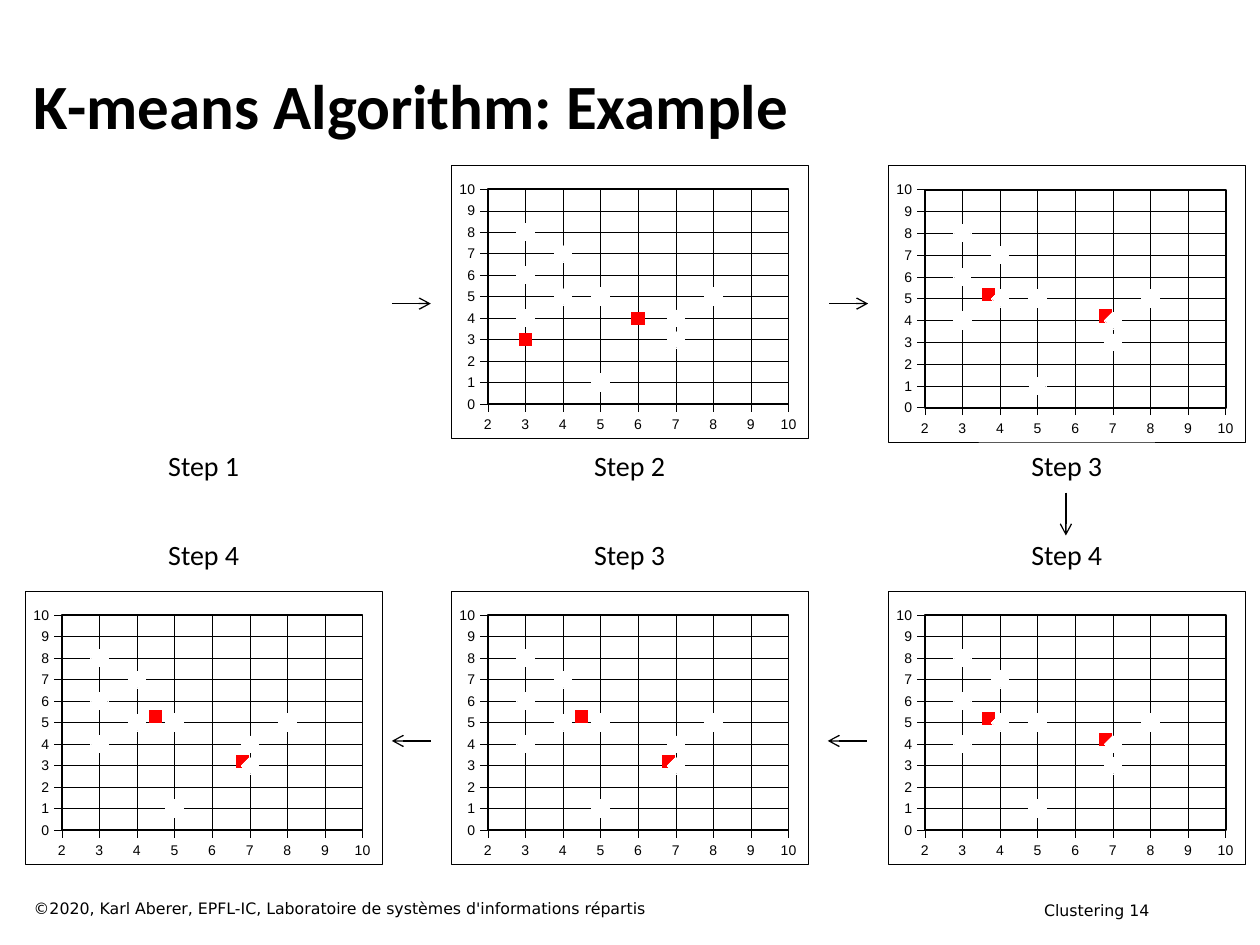
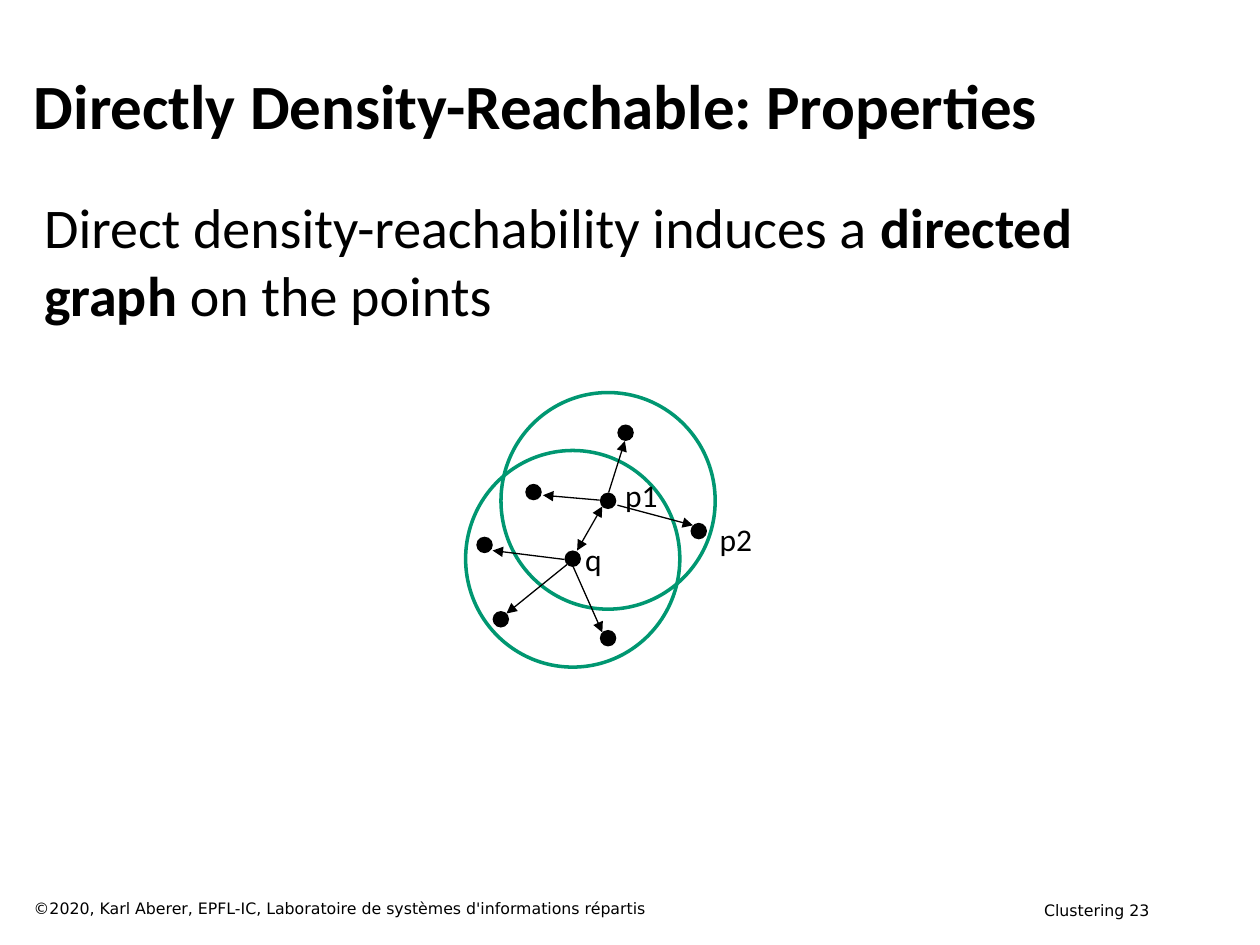
from lxml import etree
from pptx import Presentation
from pptx.chart.data import XyChartData
from pptx.dml.color import RGBColor
from pptx.enum.chart import XL_CHART_TYPE, XL_MARKER_STYLE, XL_TICK_MARK
from pptx.enum.shapes import MSO_CONNECTOR, MSO_SHAPE
from pptx.enum.text import MSO_ANCHOR, MSO_AUTO_SIZE, PP_ALIGN
from pptx.oxml import parse_xml
from pptx.oxml.ns import nsdecls, qn
from pptx.util import Pt

SCATTER = XL_CHART_TYPE.XY_SCATTER
DIAMOND, SQUARE = XL_MARKER_STYLE.DIAMOND, XL_MARKER_STYLE.SQUARE
TICK_OUTSIDE = XL_TICK_MARK.OUTSIDE
STRAIGHT = MSO_CONNECTOR.STRAIGHT
OVAL = MSO_SHAPE.OVAL
TOP, MIDDLE = MSO_ANCHOR.TOP, MSO_ANCHOR.MIDDLE
NO_AUTOFIT = MSO_AUTO_SIZE.NONE
LEFT, CENTER, RIGHT = PP_ALIGN.LEFT, PP_ALIGN.CENTER, PP_ALIGN.RIGHT

BLACK = RGBColor(0x00, 0x00, 0x00)
WHITE = RGBColor(0xFF, 0xFF, 0xFF)
RED = RGBColor(0xFF, 0x00, 0x00)
GREEN = RGBColor(0x00, 0x97, 0x71)

TITLE_FORMAT = {"name": "Calibri", "size": Pt(36), "bold": True}
BODY_FORMAT = {"name": "Calibri", "size": Pt(32), "bold": False}
STEP_FORMAT = {"name": "Calibri", "size": Pt(16)}
POINT_FORMAT = {"name": "Calibri", "size": Pt(18)}
FOOTER_FORMAT = {"name": "DejaVu Sans", "size": Pt(9)}
AXIS_FORMAT = {"name": "Arial", "size": Pt(8)}

COPYRIGHT = "©2020, Karl Aberer, EPFL-IC, Laboratoire de systèmes d'informations répartis"


def place_text(shape, box, text, text_format, alignment=LEFT, anchor=TOP, wrap=True):
    shape.left, shape.top, shape.width, shape.height = [Pt(length) for length in box]
    frame = shape.text_frame
    frame.text = text
    frame.auto_size = NO_AUTOFIT
    frame.word_wrap = wrap
    frame.vertical_anchor = anchor
    paragraph = frame.paragraphs[0]
    paragraph.alignment = alignment
    paragraph.space_before = Pt(0)
    for run in paragraph.runs:
        for name, value in text_format.items():
            setattr(run.font, name, value)
        run.font.color.rgb = BLACK
    return paragraph


def add_arrow(slide, start, end, head, ends=("tailEnd",)):
    arrow = slide.shapes.add_connector(STRAIGHT, *[Pt(length) for length in (*start, *end)])
    arrow.line.color.rgb = BLACK
    arrow.line.width = Pt(0.75)
    properties = arrow.line.color and arrow._element.spPr
    for tag in ends:
        etree.SubElement(properties.find(qn("a:ln")), qn(f"a:{tag}"), type=head)
    etree.SubElement(properties, qn("a:effectLst"))


presentation = Presentation()
presentation.slide_width, presentation.slide_height = Pt(720), Pt(540)

slides = []
for layout, title, number in (
    (5, "K-means Algorithm: Example", 14),
    (1, "Directly Density-Reachable: Properties", 23),
):
    slide = presentation.slides.add_slide(presentation.slide_layouts[layout])
    place_text(slide.shapes.title, (12.2, 23.8, 653.8, 72), title, TITLE_FORMAT, anchor=MIDDLE)
    for box, text, alignment in (
        ((12.2, 509.8, 462.2, 18), COPYRIGHT, LEFT),
        ((499.7, 511.2, 164.2, 11.5), f"Clustering {number}", RIGHT),
    ):
        footer = slide.shapes.add_textbox(0, 0, 0, 0)
        place_text(footer, box, text, FOOTER_FORMAT, alignment)
    slides.append(slide)
example_slide, properties_slide = slides

DATA_POINTS = ((3, 4), (3, 6), (7, 3), (4, 7), (3, 8), (8, 5), (4, 5), (5, 1), (7, 4), (5, 5))
CHART_LEFTS = (14.4, 257.8, 507.6)
CHART_TOPS = (94.3, 337.7)
CHART_WIDTH = 204
LABEL_TOPS = (252.7, 303.8)
LABEL_WIDTH = 56
START = ((3, 3), (6, 4))
FIRST_MEANS = ((3.7, 5.2), (6.8, 4.2))
SECOND_MEANS = ((4.5, 5.3), (6.8, 3.2))
STEPS = (
    ("Step 1", 0, 0, None, None),
    ("Step 2", 1, 0, START, 156.2),
    ("Step 3", 2, 0, FIRST_MEANS, 158.4),
    ("Step 4", 2, 1, FIRST_MEANS, 156.2),
    ("Step 3", 1, 1, SECOND_MEANS, 156.2),
    ("Step 4", 0, 1, SECOND_MEANS, 156.2),
)
PLOT_LAYOUT = (
    f'<c:layout {nsdecls("c")}><c:manualLayout><c:layoutTarget val="inner"/>'
    '<c:xMode val="edge"/><c:yMode val="edge"/><c:x val="0.102"/><c:y val="0.088"/>'
    '<c:w val="0.844"/><c:h val="0.788"/></c:manualLayout></c:layout>'
)
AREA_FORMAT = (
    f'<c:spPr {nsdecls("c", "a")}><a:solidFill><a:srgbClr val="{WHITE}"/></a:solidFill>'
    f'<a:ln w="%d"><a:solidFill><a:srgbClr val="{BLACK}"/></a:solidFill></a:ln></c:spPr>'
)

for label, column, row, centroids, height in STEPS:
    left = CHART_LEFTS[column]
    label_box = (left + (CHART_WIDTH - LABEL_WIDTH) / 2, LABEL_TOPS[row], LABEL_WIDTH, 26.6)
    text_box = example_slide.shapes.add_textbox(0, 0, 0, 0)
    place_text(text_box, label_box, label, STEP_FORMAT, CENTER, wrap=False)
    if centroids is None:
        continue

    chart_data = XyChartData()
    for index, points in enumerate((DATA_POINTS, centroids[:1], centroids[1:]), 1):
        data_series = chart_data.add_series(f"Series {index}")
        for x, y in points:
            data_series.add_data_point(x, y)
    chart = example_slide.shapes.add_chart(
        SCATTER, Pt(left), Pt(CHART_TOPS[row]), Pt(CHART_WIDTH), Pt(height), chart_data
    ).chart
    chart.has_title = False
    chart.has_legend = False
    for name, value in AXIS_FORMAT.items():
        setattr(chart.font, name, value)
    chart.font.color.rgb = BLACK

    for axis, minimum in ((chart.category_axis, 2), (chart.value_axis, 0)):
        for name, value in {
            "minimum_scale": minimum,
            "maximum_scale": 10,
            "major_unit": 1,
            "major_tick_mark": TICK_OUTSIDE,
            "has_major_gridlines": True,
        }.items():
            setattr(axis, name, value)
        for line in (axis.format.line, axis.major_gridlines.format.line):
            line.color.rgb = BLACK
            line.width = Pt(0.25)

    plot = chart.plots[0]
    plot.vary_by_categories = False
    markers = ((DIAMOND, 10, WHITE), (SQUARE, 7, RED), (SQUARE, 7, RED))
    for series, (style, size, color) in zip(plot.series, markers):
        series.smooth = False
        series.format.line.fill.background()
        marker = series.marker
        marker.style, marker.size = style, size
        marker.format.fill.solid()
        marker.format.fill.fore_color.rgb = color
        marker.format.line.color.rgb = color

    chart_element = chart._chartSpace.find(qn("c:chart"))
    plot_area = chart_element.find(qn("c:plotArea"))
    for layout in plot_area.findall(qn("c:layout")):
        plot_area.remove(layout)
    plot_area.insert(0, parse_xml(PLOT_LAYOUT))
    plot_area.append(parse_xml(AREA_FORMAT % Pt(1)))
    chart_element.addnext(parse_xml(AREA_FORMAT % Pt(0.25)))

for start, end in (
    ((223.9, 173.5), (246.2, 173.5)),
    ((473.8, 173.5), (496.1, 173.5)),
    ((609.1, 281.5), (609.1, 306)),
    ((495.4, 423.4), (473, 423.4)),
    ((246.2, 423.4), (223.9, 423.4)),
):
    add_arrow(example_slide, start, end, "arrow")

body = properties_slide.placeholders[1]
paragraph = place_text(
    body, (18, 106.6, 620.6, 138.2), "Direct density-reachability induces a ", BODY_FORMAT
)
paragraph_properties = paragraph._p.get_or_add_pPr()
paragraph_properties.set("marL", "0")
paragraph_properties.set("indent", "0")
etree.SubElement(paragraph_properties, qn("a:buNone"))
for text, bold in (("directed graph ", True), ("on the points", False)):
    run = paragraph.add_run()
    run.text = text
    for name, value in {**BODY_FORMAT, "bold": bold}.items():
        setattr(run.font, name, value)
    run.font.color.rgb = BLACK

Q, P1, P2 = (327.3, 319.3), (347.5, 286.2), (399.3, 303.5)
NEIGHBOURS = (
    (276.9, 311.4), (286.2, 353.9), (304.9, 281.2), (347.5, 364.7), (357.5, 247.3),
)
DOT_SIZE = (9.4, 9.4)
CIRCLE_SIZE = (122.4, 123.8)
ovals = [(center, CIRCLE_SIZE, False) for center in (Q, P1)]
ovals += [(center, DOT_SIZE, True) for center in (Q, P1, P2, *NEIGHBOURS)]
for (x, y), (width, height), is_dot in ovals:
    oval = properties_slide.shapes.add_shape(
        OVAL, Pt(x - width / 2), Pt(y - height / 2), Pt(width), Pt(height)
    )
    oval.shadow.inherit = False
    if is_dot:
        oval.fill.solid()
        oval.fill.fore_color.rgb = BLACK
        oval.line.fill.background()
    else:
        oval.fill.background()
        oval.line.color.rgb = GREEN
        oval.line.width = Pt(2)

for text, box in (
    ("p1", (349.9, 268.6, 33.1, 28.8)),
    ("p2", (403.9, 293.8, 33.1, 28.8)),
    ("q", (326.9, 305.3, 24.5, 28.8)),
):
    text_box = properties_slide.shapes.add_textbox(0, 0, 0, 0)
    place_text(text_box, box, text, POINT_FORMAT, CENTER, wrap=False)

add_arrow(properties_slide, (329.8, 314.6), (344.2, 289.4), "triangle", ("headEnd", "tailEnd"))
for start, end in (
    ((352.8, 288.7), (396, 300.2)),
    ((347.8, 281.5), (357.1, 252)),
    ((342.7, 285.8), (310.3, 283)),
    ((322.6, 319.7), (281.5, 314.6)),
    ((324, 322.6), (289.4, 350.6)),
    ((327.6, 324), (344.2, 361.4)),
):
    add_arrow(properties_slide, start, end, "triangle")

presentation.save("out.pptx")
